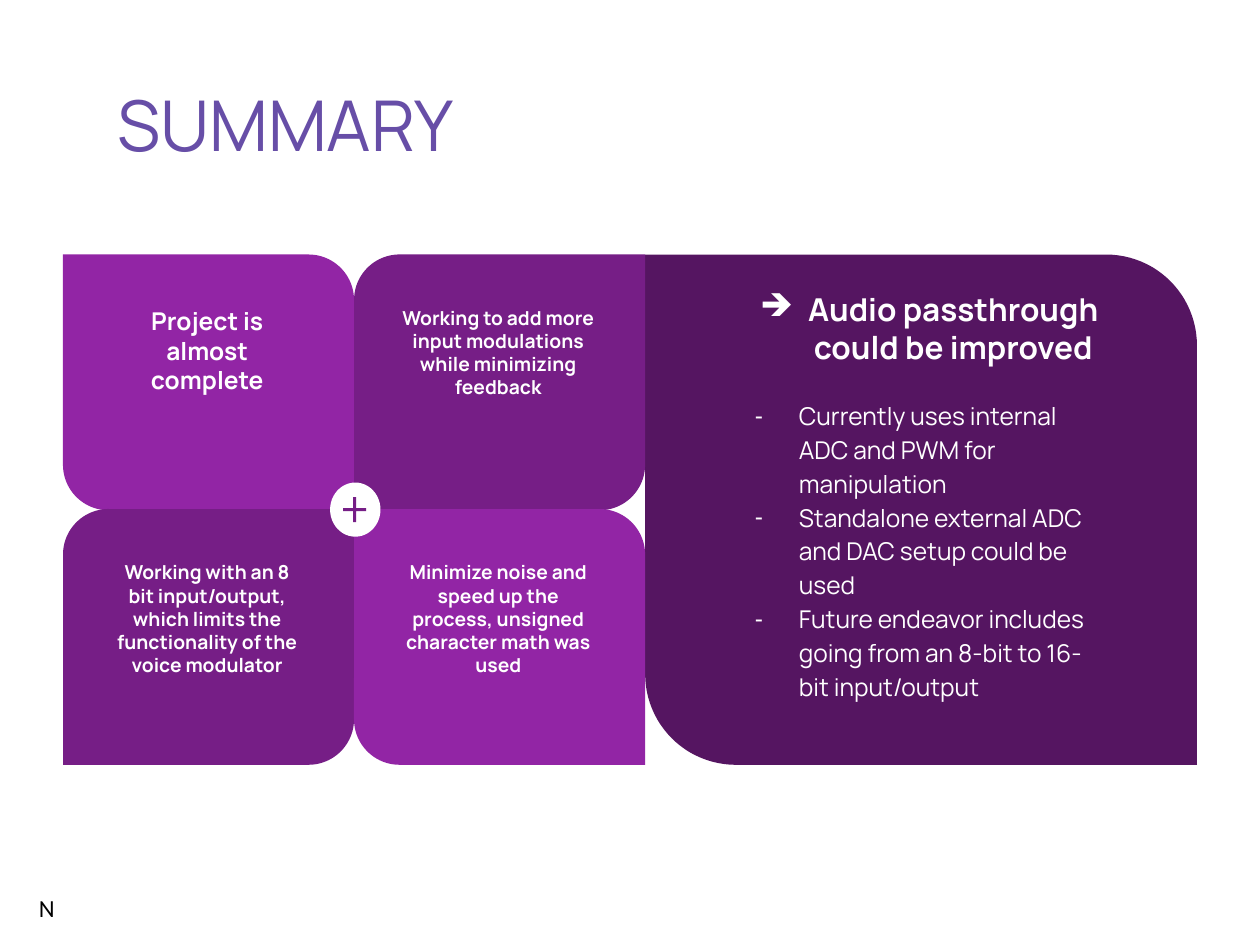
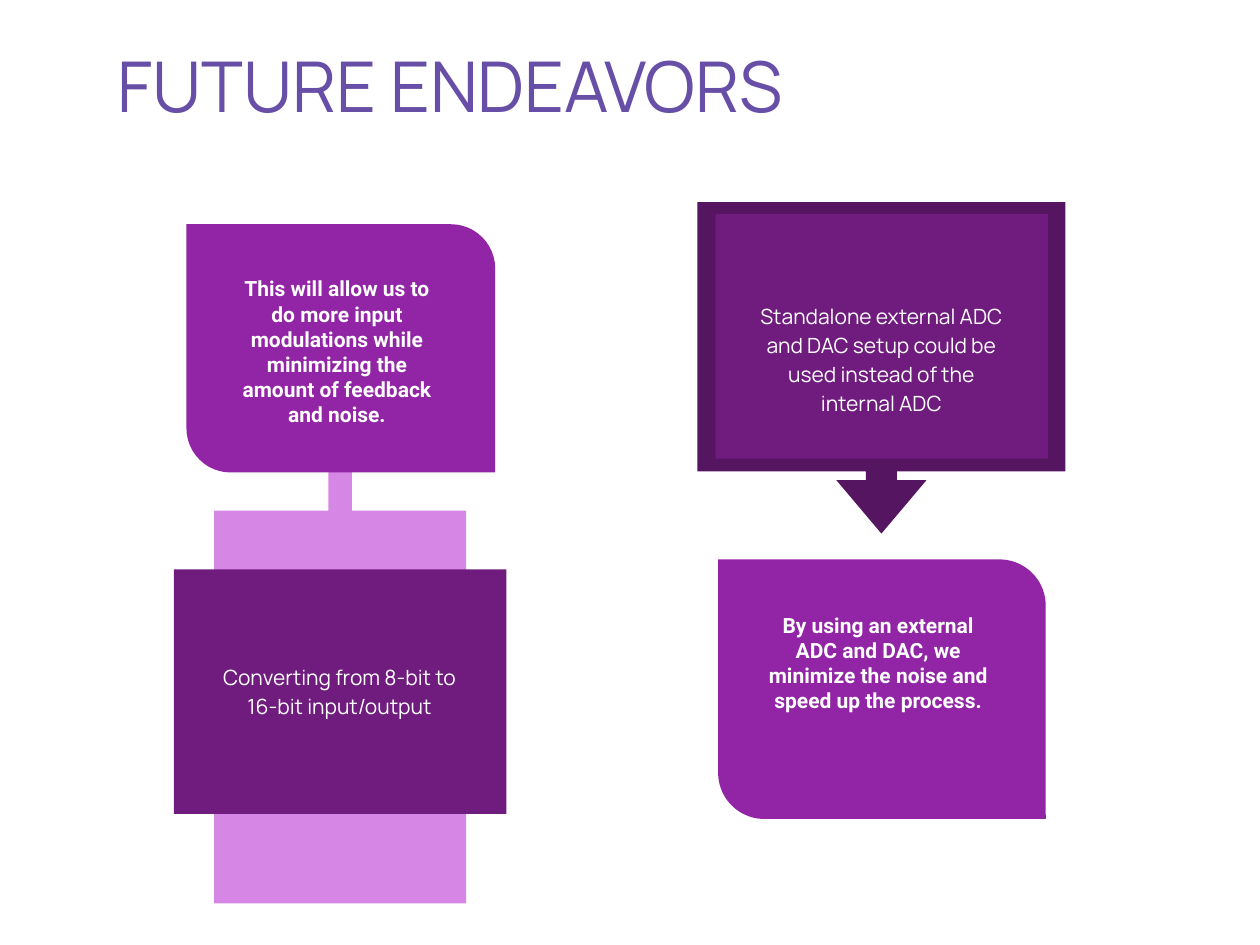
from pptx import Presentation
from pptx.dml.color import RGBColor
from pptx.enum.shapes import MSO_SHAPE as Shape
from pptx.enum.text import MSO_ANCHOR as Anchor, MSO_AUTO_SIZE as Fit, PP_ALIGN as Align
from pptx.oxml.ns import qn
from pptx.util import Inches, Pt
from lxml.etree import SubElement

# Shared look
WHITE = RGBColor(0xFF, 0xFF, 0xFF)
BLACK = RGBColor(0, 0, 0)
VIOLET = RGBColor(0x67, 0x4E, 0xA7)
PURPLE = RGBColor(0x92, 0x25, 0xA5)
PLUM = RGBColor(0x76, 0x1E, 0x86)
GRAPE = RGBColor(0x70, 0x1C, 0x7F)
DARK = RGBColor(0x55, 0x15, 0x61)
PINK = RGBColor(0xD6, 0x86, 0xE4)
MAIN, ALT = "Manrope", "Roboto"
ROUND = 0.178
ARROW = (0.093, 0.136, 0.161, 0.812)


def place(item, box):
    item.left, item.top, item.width, item.height = map(Inches, box)


def set_frame(frame, inset=0.1, anchor=Anchor.TOP):
    frame.word_wrap = True
    frame.auto_size = Fit.NONE
    frame.vertical_anchor = anchor
    frame.margin_left = frame.margin_right = Inches(0.1)
    frame.margin_top = frame.margin_bottom = Inches(inset)


def add_run(para, text, size, color=WHITE, font=MAIN, bold=False):
    run = para.add_run()
    run.text = text
    run.font.size = Pt(size)
    run.font.name = font
    run.font.bold = bold
    run.font.color.rgb = color


def add_mark(para, char, hang):
    """Give the paragraph a white bullet that hangs left of the text."""
    props = para._p.get_or_add_pPr()
    props.set("marL", str(Inches(0.5)))
    props.set("indent", str(-Inches(hang)))
    tint = SubElement(props, qn("a:buClr"))
    SubElement(tint, qn("a:srgbClr")).set("val", str(WHITE))
    SubElement(props, qn("a:buChar")).set("char", char)


def add_title(slide, text, top, width):
    title = slide.shapes.title
    place(title, (0.83, top, width, 0.77))
    set_frame(title.text_frame, 0.05)
    para = title.text_frame.paragraphs[0]
    para.alignment = Align.LEFT
    para.line_spacing = 0.85
    add_run(para, text, 40, VIOLET)


def add_form(slide, kind, box, fill, adjust=(), turn=0):
    form = slide.shapes.add_shape(kind, *map(Inches, box))
    form.shadow.inherit = False
    form.fill.solid()
    form.fill.fore_color.rgb = fill
    form.line.fill.background()
    for i, value in enumerate(adjust):
        form.adjustments[i] = value
    form.rotation = turn


def add_leaf(slide, box, fill, flip=False):
    """Panel with two opposite corners rounded."""
    corners = (ROUND, 0) if flip else (0, ROUND)
    add_form(slide, Shape.ROUND_2_DIAG_RECTANGLE, box, fill, corners)


def add_label(slide, text, box, size, align=Align.CENTER, anchor=Anchor.TOP,
              space=1.0, **style):
    label = slide.shapes.add_textbox(*map(Inches, box))
    set_frame(label.text_frame, anchor=anchor)
    para = label.text_frame.paragraphs[0]
    para.alignment = align
    para.line_spacing = space
    add_run(para, text, size, **style)
    return para


def add_list(slide, items, box):
    body = slide.placeholders[1]
    slide.shapes._spTree.append(body._element)  # bring above the panel
    place(body, box)
    frame = body.text_frame
    set_frame(frame)
    for i, item in enumerate(items):
        para = frame.add_paragraph() if i else frame.paragraphs[0]
        add_mark(para, "-", 0.35)
        para.line_spacing = 1.15
        para.space_before = Pt(0)
        add_run(para, item, 14)


def build_summary(deck):
    slide = deck.slides.add_slide(deck.slide_layouts[1])
    add_title(slide, "SUMMARY", 0.7, 4.54)

    # Right panel
    add_leaf(slide, (5.12, 2.02, 4.38, 4.05), DARK)
    head = add_label(slide, "Audio passthrough could be improved",
                     (5.74, 2.2, 3.15, 0.78), 18, bold=True)
    add_mark(head, "➔", 0.38)
    add_list(slide, [
        "Currently uses internal ADC and PWM for manipulation",
        "Standalone external ADC and DAC setup could be used",
        "Future endeavor includes going from an 8-bit to 16-bit input/output",
    ], (5.74, 3.05, 3.15, 2.28))

    # Two by two tiles
    tiles = [
        ("Project is almost complete", 14),
        ("Working to add more input modulations while minimizing feedback", 11),
        ("Working with an 8 bit input/output, which limits the functionality "
         "of the voice modulator", 11),
        ("Minimize noise and speed up the process, unsigned character math "
         "was used", 11),
    ]
    wide, high = 2.31, 2.03
    for i, (text, size) in enumerate(tiles):
        row, col = divmod(i, 2)
        left, top = 0.5 + col * wide, 2.02 + row * 2.02
        odd = row != col
        add_leaf(slide, (left, top, wide, high), PLUM if odd else PURPLE, odd)
        add_label(slide, text, (left + 0.28, top + 0.31, 1.73, 1.36), size,
                  bold=True)

    # Plus badge
    add_form(slide, Shape.OVAL, (2.62, 3.83, 0.4, 0.43), WHITE)
    add_form(slide, Shape.MATH_PLUS, (2.69, 3.91, 0.25, 0.27), PLUM, (0.099,))

    # Corner letter
    add_label(slide, "N", (0.21, 6.99, 0.4, 0.38), 14, Align.LEFT,
              color=BLACK, font="Calibri")


def build_future(deck):
    slide = deck.slides.add_slide(deck.slide_layouts[5])
    add_title(slide, "FUTURE ENDEAVORS", 0.39, 6.27)

    # Arrow panels
    call = Shape.RIGHT_ARROW_CALLOUT
    add_form(slide, call, (0.78, 4.25, 3.84, 2), PINK, ARROW, 270)
    add_form(slide, Shape.RECTANGLE, (1.38, 4.52, 2.64, 1.94), GRAPE)
    add_label(slide, "Converting from 8-bit to 16-bit input/output",
              (1.59, 5.04, 2.21, 0.87), 12, anchor=Anchor.MIDDLE, space=1.15)
    add_form(slide, call, (5.68, 1.46, 2.63, 2.92), DARK, ARROW, 90)
    add_form(slide, Shape.RECTANGLE, (5.68, 1.7, 2.64, 1.94), GRAPE)
    add_label(slide, "Standalone external ADC and DAC setup could be used "
              "instead of the internal ADC",
              (5.89, 2.28, 2.21, 1.08), 12, space=1.15)

    # Outcome panels
    panels = [
        ("This will allow us to do more input modulations while minimizing "
         "the amount of feedback and noise.",
         (1.48, 1.78, 2.45, 1.97), (1.76, 2.09, 1.83, 1.32)),
        ("By using an external ADC and DAC, we minimize the noise and speed "
         "up the process.",
         (5.7, 4.44, 2.6, 2.06), (6, 4.76, 1.94, 1.38)),
    ]
    for text, panel, area in panels:
        add_leaf(slide, panel, PURPLE)
        add_label(slide, text, area, 12, font=ALT, bold=True)


def main():
    deck = Presentation()
    deck.slide_width, deck.slide_height = Inches(10), Inches(7.5)
    build_summary(deck)
    build_future(deck)
    deck.save("out.pptx")


if __name__ == "__main__":
    main()
